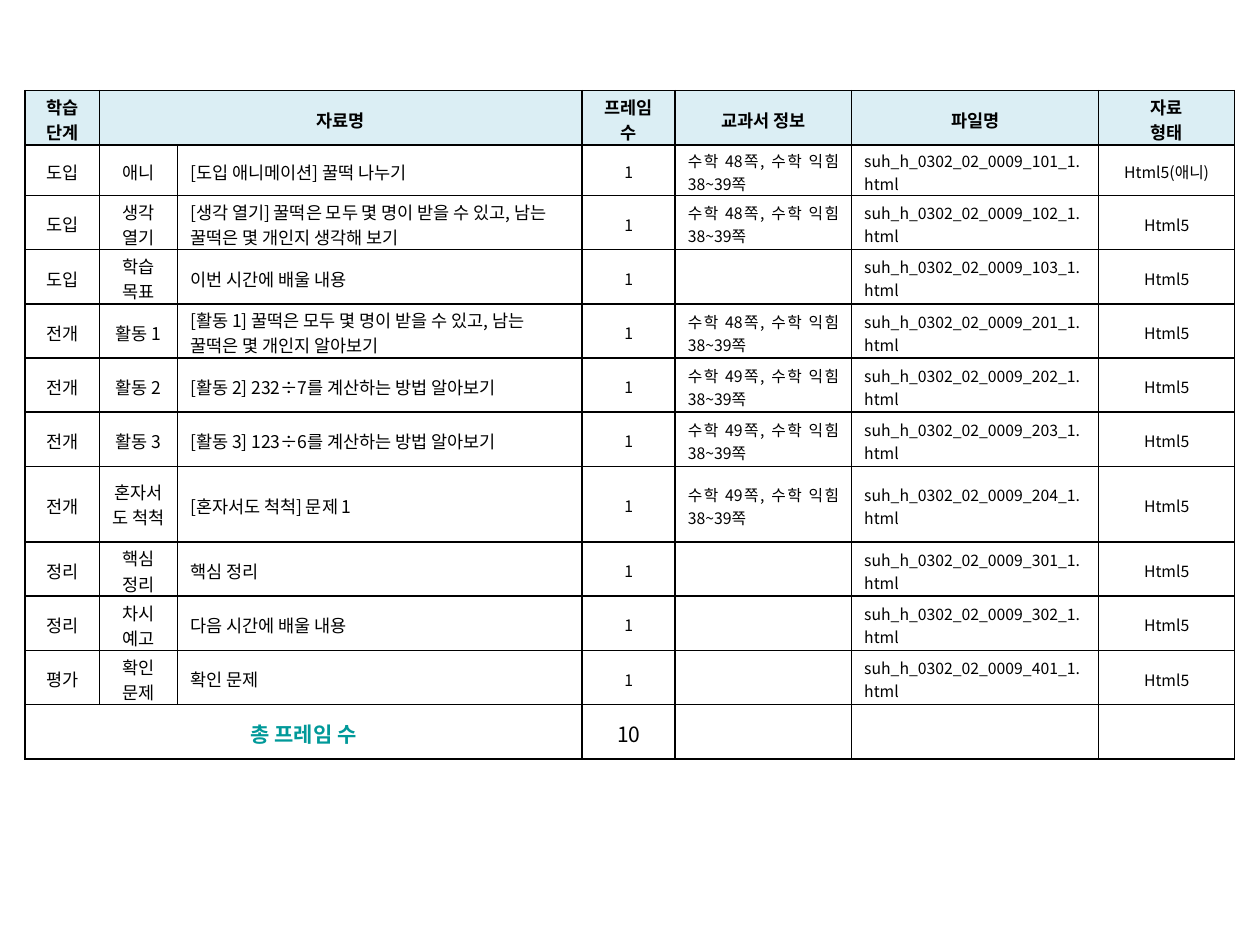
from lxml.etree import SubElement
from pptx import Presentation
from pptx.dml.color import RGBColor
from pptx.enum.text import MSO_ANCHOR, PP_ALIGN
from pptx.oxml.ns import qn
from pptx.util import Inches, Pt

FONT = "Noto Sans CJK KR"
COLS = [0.59, 0.62, 3.21, 0.74, 1.4, 1.96, 1.08]
ROWS = [0.43, 0.4] + [0.43] * 5 + [0.6] + [0.43] * 4
HEAD = ["학습 단계", "자료명", "", "프레임 수", "교과서 정보", "파일명", "자료\n형태"]
TOTAL = ["총 프레임 수", "", "", "10", "", "", ""]

# Stage, part, title, textbook page, file number, type
ITEMS = [
    ("도입", "애니", "[도입 애니메이션] 꿀떡 나누기", 48, 101, "Html5(애니)"),
    ("도입", "생각 열기", "[생각 열기] 꿀떡은 모두 몇 명이 받을 수 있고, "
     "남는 꿀떡은 몇 개인지 생각해 보기", 48, 102, "Html5"),
    ("도입", "학습 목표", "이번 시간에 배울 내용", None, 103, "Html5"),
    ("전개", "활동 1", "[활동 1] 꿀떡은 모두 몇 명이 받을 수 있고, "
     "남는 꿀떡은 몇 개인지 알아보기", 48, 201, "Html5"),
    ("전개", "활동 2", "[활동 2] 232÷7를 계산하는 방법 알아보기", 49, 202, "Html5"),
    ("전개", "활동 3", "[활동 3] 123÷6를 계산하는 방법 알아보기", 49, 203, "Html5"),
    ("전개", "혼자서도 척척", "[혼자서도 척척] 문제 1", 49, 204, "Html5"),
    ("정리", "핵심 정리", "핵심 정리", None, 301, "Html5"),
    ("정리", "차시 예고", "다음 시간에 배울 내용", None, 302, "Html5"),
    ("평가", "확인 문제", "확인 문제", None, 401, "Html5"),
]
SIZES = [10, 10, 10, 9, 9, 9, 9]
MID, LEFT, JUST = PP_ALIGN.CENTER, PP_ALIGN.LEFT, PP_ALIGN.JUSTIFY
ALIGNS = [MID, MID, LEFT, MID, JUST, JUST, MID]


def color(code):
    return RGBColor.from_string(code)


def border(cell, code="000000", width=1):
    props = cell._tc.get_or_add_tcPr()
    for at, side in enumerate(("lnL", "lnR", "lnT", "lnB")):
        line = props.makeelement(qn(f"a:{side}"), {"w": str(Pt(width))})
        fill = SubElement(line, qn("a:solidFill"))
        SubElement(fill, qn("a:srgbClr"), val=code)
        props.insert(at, line)


def write(cell, text, size=10, bold=False, ink="000000", align=MID, fill=None, top=0.03):
    cell.vertical_anchor = MSO_ANCHOR.MIDDLE
    cell.margin_left = cell.margin_right = Inches(0.1)
    # Tight margins let two lines fit the row height
    cell.margin_top, cell.margin_bottom = Inches(top), 0
    if fill:
        cell.fill.solid()
        cell.fill.fore_color.rgb = color(fill)
    else:
        cell.fill.background()
    border(cell)
    cell.text = text
    for para in cell.text_frame.paragraphs:
        para.alignment = align
        for run in para.runs:
            font = run.font
            font.name, font.size, font.bold = FONT, Pt(size), bold
            font.color.rgb = color(ink)
            SubElement(font._element, qn("a:ea"), typeface=FONT)


def frames(slide, left, top, width, height):
    table = slide.shapes.add_table(
        len(ROWS), len(COLS), Inches(left), Inches(top), Inches(width), Inches(height)).table
    table.first_row = table.horz_banding = False
    for col, size in zip(table.columns, COLS):
        col.width = Inches(size)
    for row, size in zip(table.rows, ROWS):
        row.height = Inches(size)

    # Header and total rows
    last = len(ROWS) - 1
    for col, text in enumerate(HEAD):
        write(table.cell(0, col), text, bold=True, fill="DBEEF4")
    for col, text in enumerate(TOTAL):
        write(table.cell(last, col), text, size=12, bold=col == 0,
              ink="009999" if col == 0 else "000000")
    table.cell(0, 1).merge(table.cell(0, 2))
    table.cell(last, 0).merge(table.cell(last, 2))

    # Item rows
    for row, (stage, part, title, page, num, kind) in enumerate(ITEMS, 1):
        book = f"수학 {page}쪽, 수학 익힘 38~39쪽" if page else ""
        name = f"suh_h_0302_02_0009_{num}_1.html"
        texts = [stage, part, title, "1", book, name, kind]
        for col, (text, size, align) in enumerate(zip(texts, SIZES, ALIGNS)):
            write(table.cell(row, col), text, size=size, align=align,
                  top=0 if text == "혼자서도 척척" else 0.03)


def main():
    deck = Presentation()
    deck.slide_width, deck.slide_height = Inches(10), Inches(7.5)
    slide = deck.slides.add_slide(deck.slide_layouts[6])
    frames(slide, 0.2, 0.72, sum(COLS), sum(ROWS))
    deck.save("out.pptx")


if __name__ == "__main__":
    main()
